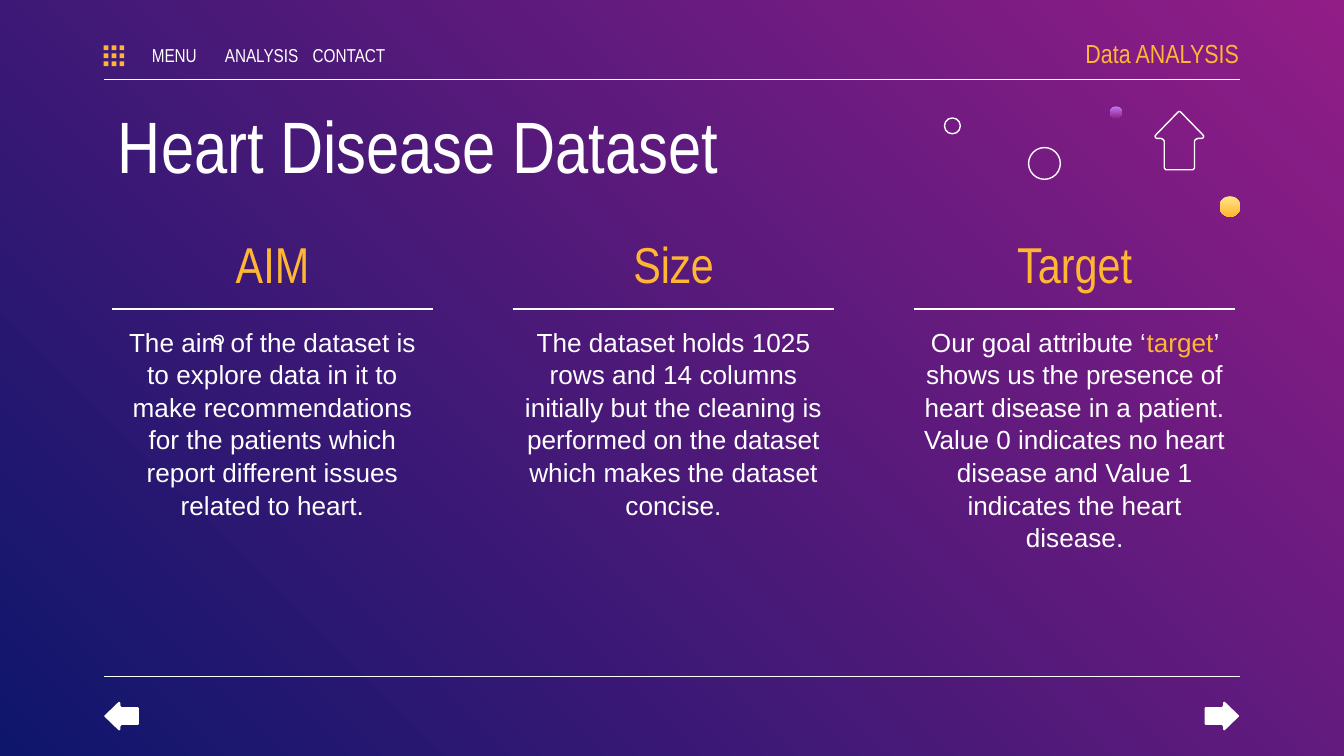
from dataclasses import dataclass

from lxml import etree
from pptx import Presentation
from pptx.dml.color import RGBColor
from pptx.enum.shapes import MSO_CONNECTOR, MSO_SHAPE
from pptx.enum.text import MSO_ANCHOR, MSO_AUTO_SIZE, PP_ALIGN
from pptx.oxml.ns import qn
from pptx.util import Cm, Pt

OVAL, RECTANGLE = MSO_SHAPE.OVAL, MSO_SHAPE.RECTANGLE
STRAIGHT = MSO_CONNECTOR.STRAIGHT
TOP, MIDDLE = MSO_ANCHOR.TOP, MSO_ANCHOR.MIDDLE
LEFT, CENTER, RIGHT = PP_ALIGN.LEFT, PP_ALIGN.CENTER, PP_ALIGN.RIGHT
NO_AUTOFIT = MSO_AUTO_SIZE.NONE

COLORS = {
    "white": "FFFFFF", "amber": "FFB632", "cream": "FFE485",
    "magenta": "921D87", "navy": "0E166C", "lilac": "BE7AF3",
}
HEADING_FONT, BODY_FONT = "Arial Narrow", "Arial"
INSET = 0.25

# Right half of a rounded arrow: fractions of width from the axis, of height from the tip
ARROW_HALF = [(0.02, 0), (0.04, 0.02), (0.47, 0.39), (0.5, 0.42), (0.49, 0.45), (0.46, 0.46),
              (0.38, 0.46), (0.33, 0.48), (0.31, 0.51), (0.31, 0.97), (0.28, 1)]


@dataclass
class Box:
    left: float
    top: float
    width: float
    height: float

    def lengths(self) -> tuple:
        return Cm(self.left), Cm(self.top), Cm(self.width), Cm(self.height)


@dataclass
class Style:
    size: float
    color: str = "white"
    font: str = HEADING_FONT
    align: PP_ALIGN = CENTER
    anchor: MSO_ANCHOR = TOP
    margin_left: float = INSET
    margin_right: float = INSET
    spacing: float = 1.0


@dataclass
class Column:
    heading: str
    body: list  # (text, colour) spans


@dataclass
class Circle:
    left: float
    top: float
    size: float
    gradient: tuple = ()


def rgb(name: str) -> RGBColor:
    return RGBColor.from_string(COLORS[name])


def set_gradient(fill, names: tuple, angle: float) -> None:
    fill.gradient()
    fill.gradient_angle = angle
    for stop, name in zip(fill.gradient_stops, names):
        stop.color.rgb = rgb(name)


def write(shape, spans: list, style: Style) -> None:
    frame = shape.text_frame
    settings = {
        "word_wrap": True, "auto_size": NO_AUTOFIT, "vertical_anchor": style.anchor,
        "margin_left": Cm(style.margin_left), "margin_right": Cm(style.margin_right),
        "margin_top": Cm(INSET), "margin_bottom": Cm(INSET),
    }
    for name, value in settings.items():
        setattr(frame, name, value)
    para = frame.paragraphs[0]
    para.alignment, para.line_spacing = style.align, style.spacing
    for text, color in spans:
        span = para.add_run()
        span.text = text
        for name, value in {"name": style.font, "size": Pt(style.size)}.items():
            setattr(span.font, name, value)
        span.font.color.rgb = rgb(color)


def add_text(page, box: Box, spans: list, style: Style) -> None:
    write(page.shapes.add_textbox(*box.lengths()), spans, style)


def add_rule(page, left: float, right: float, top: float) -> None:
    rule = page.shapes.add_connector(STRAIGHT, Cm(left), Cm(top), Cm(right), Cm(top))
    rule.line.color.rgb = rgb("white")
    rule.line.width = Pt(0.75)
    etree.SubElement(rule._element.spPr, qn("a:effectLst"))


def paint(shape, fill: str = "", line: str = "") -> None:
    shape.shadow.inherit = False
    if fill:
        shape.fill.solid()
        shape.fill.fore_color.rgb = rgb(fill)
    else:
        shape.fill.background()
    if line:
        shape.line.color.rgb = rgb(line)
        shape.line.width = Pt(0.75)
    else:
        shape.line.fill.background()


def add_arrow(page, box: Box, rotation: float = 0, fill: str = "", line: str = "") -> None:
    mirrored = [(-across, along) for across, along in reversed(ARROW_HALF)]
    points = [(Cm(box.left + box.width * (0.5 + across)), Cm(box.top + box.height * along))
              for across, along in ARROW_HALF + mirrored]
    builder = page.shapes.build_freeform(*points[0])
    builder.add_line_segments(points[1:], close=True)
    arrow = builder.convert_to_shape()
    arrow.rotation = rotation
    paint(arrow, fill, line)


def add_circle(page, circle: Circle) -> None:
    box = Box(circle.left, circle.top, circle.size, circle.size)
    shape = page.shapes.add_shape(OVAL, *box.lengths())
    paint(shape, line="" if circle.gradient else "white")
    if circle.gradient:
        set_gradient(shape.fill, circle.gradient, 270)


def main() -> None:
    deck = Presentation()
    deck.slide_width, deck.slide_height = Cm(25.4), Cm(14.29)
    page = deck.slides.add_slide(deck.slide_layouts[5])
    set_gradient(page.background.fill, ("magenta", "navy"), 225)

    # Header and footer rules
    for top in (1.5, 12.79):
        add_rule(page, 1.96, 23.44, top)

    # Title
    title = page.shapes.title
    title.left, title.top, title.width, title.height = Box(1.98, 1.55, 21.44, 1.68).lengths()
    write(title, [("Heart Disease Dataset", "white")], Style(39, align=LEFT, spacing=1.06))

    # Three columns
    columns = [
        Column("AIM", [("The aim of the dataset is to explore data in it to make recommendations "
                        "for the patients which report different issues related to heart.",
                        "white")]),
        Column("Size", [("The dataset holds 1025 rows and 14 columns initially but the cleaning is "
                         "performed on the dataset which makes the dataset concise.", "white")]),
        Column("Target", [("Our goal attribute ‘", "white"), ("target", "amber"),
                          ("’ shows us the presence of heart disease in a patient. Value 0 "
                           "indicates no heart disease and Value 1 indicates the heart disease.",
                           "white")]),
    ]
    heading_style = Style(27, "amber", spacing=1.06)
    body_style = Style(14, font=BODY_FONT, spacing=1.04)
    for index, column in enumerate(columns):
        left = 2.05 + 7.58 * index
        add_text(page, Box(left, 4.09, 6.2, 1.22), [(column.heading, "amber")], heading_style)
        add_text(page, Box(left, 5.89, 6.2, 2.34), column.body, body_style)
        add_rule(page, left + 0.06, left + 6.13, 5.84)

    # Navigation bar
    add_text(page, Box(19.61, 0.58, 3.81, 0.84), [("Data ANALYSIS", "amber")],
             Style(14, align=RIGHT, anchor=MIDDLE, margin_right=0))
    menu_style = Style(10, anchor=MIDDLE, margin_left=0, margin_right=0)
    for index, label in enumerate(("MENU", "ANALYSIS", "CONTACT")):
        add_text(page, Box(2.57 + 1.65 * index, 0.76, 1.45, 0.58), [(label, "white")], menu_style)

    # Menu icon
    icon = page.shapes.add_group_shape()
    for index in range(9):
        column, row = divmod(index, 3)
        box = Box(1.96 + 0.15 * column, 0.86 + 0.15 * row, 0.09, 0.09)
        paint(icon.shapes.add_shape(RECTANGLE, *box.lengths()), fill="amber")

    # Arrows
    add_arrow(page, Box(22.82, 13.21, 0.54, 0.65), rotation=90, fill="white")
    add_arrow(page, Box(2.03, 13.21, 0.54, 0.65), rotation=270, fill="white")
    add_arrow(page, Box(21.83, 2.11, 0.92, 1.1), line="white")

    # Circles
    for circle in (
        Circle(19.44, 2.79, 0.6),
        Circle(17.85, 2.23, 0.3),
        Circle(4.05, 6.34, 0.17),
        Circle(20.98, 2.01, 0.23, ("lilac", "magenta")),
        Circle(23.05, 3.71, 0.39, ("cream", "amber")),
    ):
        add_circle(page, circle)

    deck.save("out.pptx")


if __name__ == "__main__":
    main()
